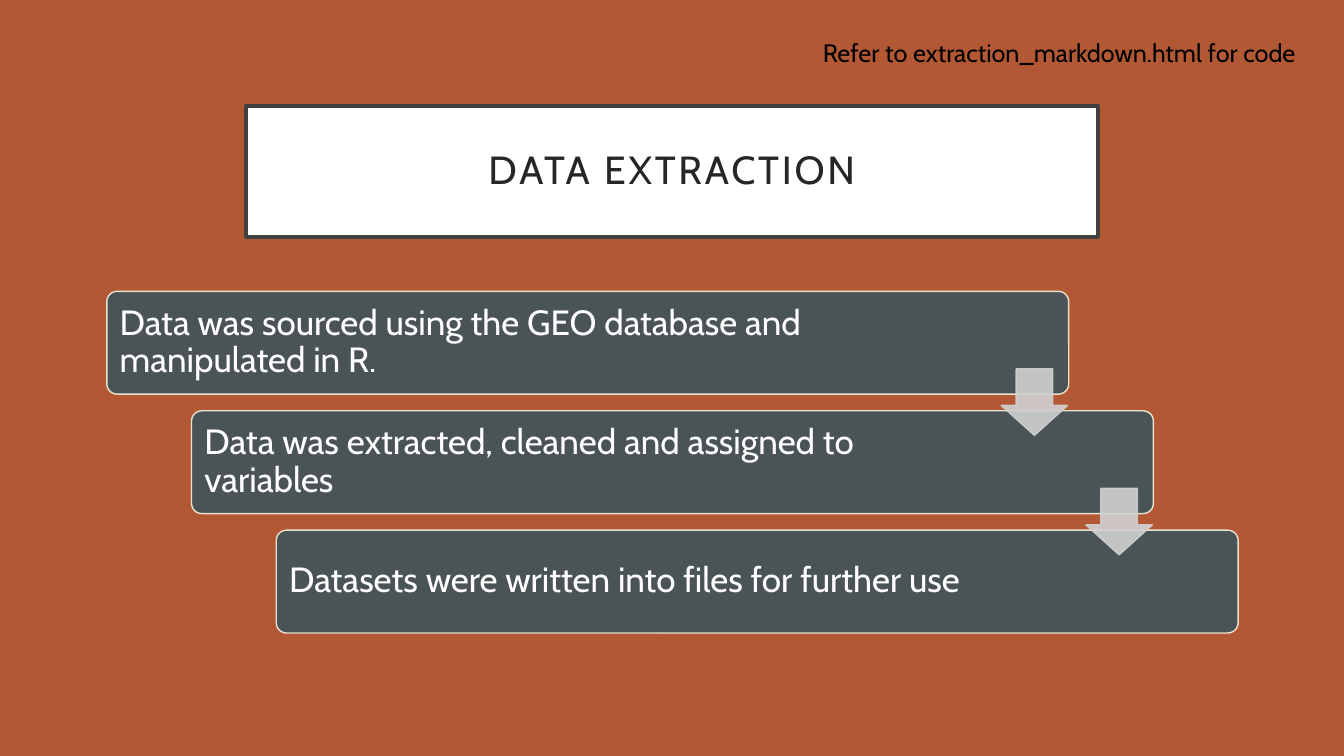
from lxml.etree import SubElement
from pptx import Presentation
from pptx.dml.color import RGBColor
from pptx.enum.shapes import MSO_SHAPE
from pptx.enum.text import MSO_ANCHOR, PP_ALIGN
from pptx.oxml.ns import qn
from pptx.util import Inches, Pt

TITLE = "DATA EXTRACTION"
NOTE = "Refer to extraction_markdown.html for code"
STEPS = [
    "Data was sourced using the GEO database and manipulated in R.",
    "Data was extracted, cleaned and assigned to variables",
    "Datasets were written into files for further use",
]

FONT = "Cabin"
RUST = RGBColor(0xB2, 0x58, 0x34)
SLATE = RGBColor(0x4A, 0x53, 0x56)
CREAM = RGBColor(0xE8, 0xE3, 0xCE)
SILVER = RGBColor(0xD0, 0xD1, 0xD1)
WHITE = RGBColor(0xFF, 0xFF, 0xFF)
BLACK = RGBColor(0, 0, 0)
CHARCOAL = RGBColor(0x26, 0x26, 0x26)
BORDER = RGBColor(0x40, 0x40, 0x40)

STEP_LEFT, STEP_TOP, STEP_WIDTH, STEP_HEIGHT = 1.06, 2.89, 9.54, 1.02
SHIFT_X, SHIFT_Y = 0.84, 1.185
ARROW_LEFT, ARROW_TOP, ARROW_SIZE = 9.93, 3.66, 0.66


def add_box(page, kind, place, fill, line, line_width):
    box = page.shapes.add_shape(kind, *map(Inches, place))
    box.shadow.inherit = False
    box.fill.solid()
    box.fill.fore_color.rgb = fill
    box.line.color.rgb = line
    box.line.width = Pt(line_width)
    return box


def write(box, text, size, color, align, line_spacing, insets):
    frame = box.text_frame
    frame.word_wrap = True
    frame.vertical_anchor = MSO_ANCHOR.MIDDLE
    (frame.margin_left, frame.margin_top,
     frame.margin_right, frame.margin_bottom) = map(Inches, insets)
    para = frame.paragraphs[0]
    para.alignment = align
    para.line_spacing = line_spacing
    span = para.add_run()
    span.text = text
    para.font.name = FONT
    para.font.size = Pt(size)
    para.font.color.rgb = color
    return span


def make_translucent(box, percent):
    for color in box.element.spPr.iter(qn("a:srgbClr")):
        SubElement(color, qn("a:alpha")).set("val", str(percent * 1000))


def main():
    deck = Presentation()
    deck.slide_width, deck.slide_height = Inches(13.33), Inches(7.5)
    page = deck.slides.add_slide(deck.slide_layouts[6])
    page.background.fill.solid()
    page.background.fill.fore_color.rgb = RUST

    title = add_box(page, MSO_SHAPE.RECTANGLE, (2.44, 1.05, 8.45, 1.3), WHITE, BORDER, 2.5)
    span = write(title, TITLE, 28, CHARCOAL, PP_ALIGN.CENTER, 0.9, (0.2, 0.2, 0.2, 0.2))
    span.font._element.set("spc", "200")

    for index, text in enumerate(STEPS):
        place = (STEP_LEFT + index * SHIFT_X, STEP_TOP + index * SHIFT_Y, STEP_WIDTH, STEP_HEIGHT)
        step = add_box(page, MSO_SHAPE.ROUNDED_RECTANGLE, place, SLATE, CREAM, 1)
        step.adjustments[0] = 0.1
        write(step, text, 25, WHITE, PP_ALIGN.LEFT, 0.9, (0.1, 0.1, 1.7, 0.1))

    for index in range(len(STEPS) - 1):
        place = (ARROW_LEFT + index * SHIFT_X, ARROW_TOP + index * SHIFT_Y, ARROW_SIZE, ARROW_SIZE)
        arrow = add_box(page, MSO_SHAPE.DOWN_ARROW, place, SILVER, SILVER, 1)
        arrow.adjustments[0] = 0.55
        arrow.adjustments[1] = 0.45
        make_translucent(arrow, 90)

    note = page.shapes.add_textbox(Inches(7.96), Inches(0.32), Inches(5.09), Inches(0.4))
    write(note, NOTE, 18, BLACK, PP_ALIGN.CENTER, 1.0, (0.1, 0.05, 0.1, 0.05))

    deck.save("out.pptx")


if __name__ == "__main__":
    main()
